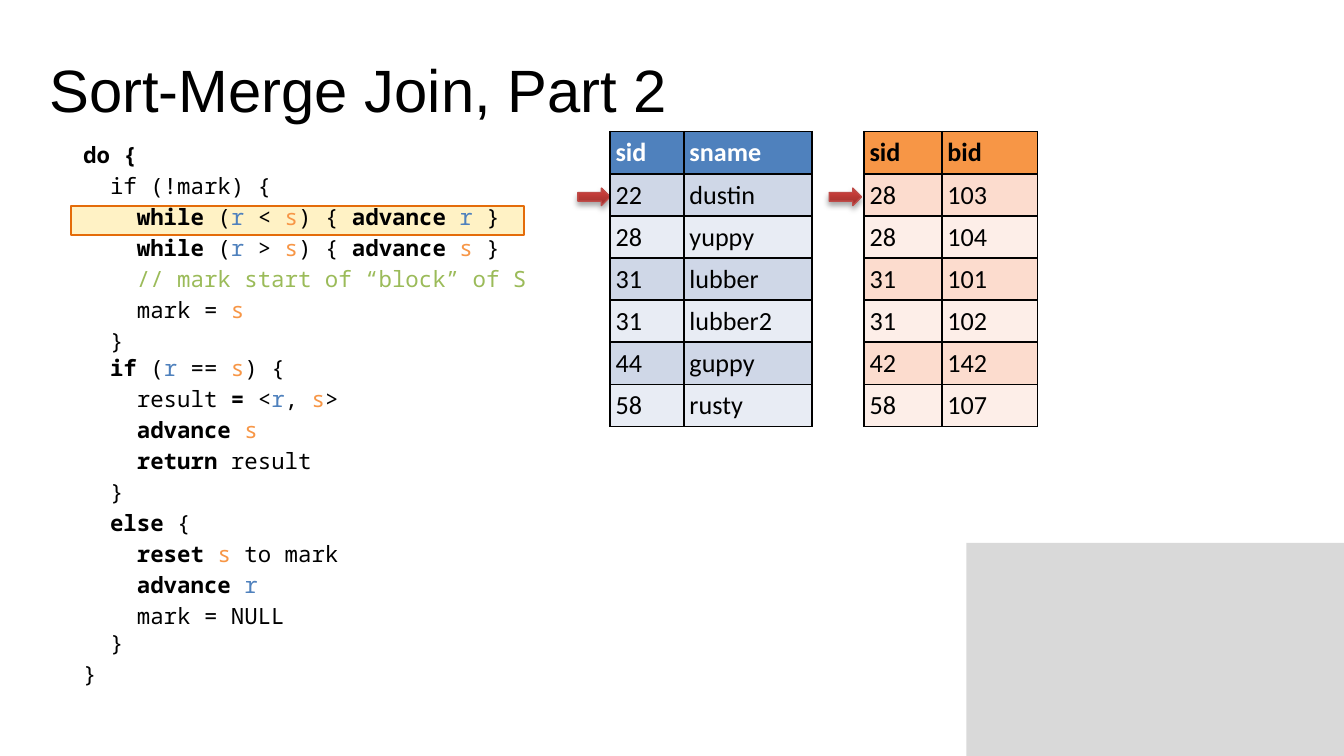
"""Build the slide that steps through a sort-merge join."""
from lxml import etree
from pptx import Presentation
from pptx import util as u
from pptx.dml.color import RGBColor
from pptx.enum import shapes, text
from pptx.oxml import ns

TITLE = "Sort-Merge Join, Part 2"

CODE = [
    (0, 0, "*do {"),
    (1, 0, "if (!mark) {"),
    (2, 0, "*while| (|r| < |s|) { |*advance |r| }"),
    (2, 0, "*while| (|r| > |s|) { |*advance |s| }"),
    (2, 0, "// mark start of “block” of S"),
    (2, 0, "mark = |s"),
    (1, 0, "}|\n|*if |(|r| == |s|) {"),
    (2, 0, "result|* =| <|r|, |s|>"),
    (2, 0, "*advance |s"),
    (2, 0, "*return |result"),
    (1, 0, "}"),
    (1, 0, "*else| {"),
    (2, 0, "*reset |s| to mark"),
    (2, 0, "*advance |r"),
    (1, 1, "mark = NULL|\n|}"),
    (0, 0, "}"),
]

TABLES = [
    dict(x=4.54, mark=4.3, cols=(0.55, 0.95), look="blue", rows=[
        ("sid", "sname"), ("22", "dustin"), ("28", "yuppy"), ("31", "lubber"),
        ("31", "lubber2"), ("44", "guppy"), ("58", "rusty")]),
    dict(x=6.43, mark=6.17, cols=(0.58, 0.71), look="gold", rows=[
        ("sid", "bid"), ("28", "103"), ("28", "104"), ("31", "101"),
        ("31", "102"), ("42", "142"), ("58", "107")]),
]

THEME = dict(
    head="Arial", body="Calibri", mono="Noto Sans Mono",
    big=32, cell=14, code=12,
    ink="000000", r="4F81BD", s="F79646", note="9BBB59",
    panel="D9D9D9", glow="FFF2C5", rim="E46C0A",
    dark="9A2F2C", red="CA3E3A", edge="BE4B48",
    blue=dict(ink="FFFFFF", head="4F81BD", bands=("CFD7E7", "E8ECF4")),
    gold=dict(ink="000000", head="F79646", bands=("FCDCCE", "FDEEE8")),
)
TOP, HIGH, PAD, STEP = 0.98, 2.16, 0.04, 0.2


def rgb(code):
    return RGBColor.from_string(code)


def write(para, words, font, size, color=THEME["ink"], bold=False):
    run = para.add_run()
    run.text = words
    run.font.name = font
    run.font.size = u.Pt(size)
    run.font.bold = bold
    run.font.color.rgb = rgb(color)


def box(slide, *area):
    frame = slide.shapes.add_textbox(*map(u.Inches, area)).text_frame
    frame.word_wrap = True
    frame.vertical_anchor = text.MSO_ANCHOR.TOP
    return frame


def block(slide, kind, area, fill=None, line=None, width=1):
    shape = slide.shapes.add_shape(kind, *map(u.Inches, area))
    shape.shadow.inherit = False
    if fill:
        shape.fill.solid()
        shape.fill.fore_color.rgb = rgb(fill)
    if line:
        shape.line.color.rgb = rgb(line)
        shape.line.width = u.Pt(width)
    else:
        shape.line.fill.background()
    return shape


def child(node, tag, **attrs):
    return etree.SubElement(node, ns.qn(tag), **attrs)


def arrow(slide, x):
    shape = block(slide, shapes.MSO_SHAPE.RIGHT_ARROW, (x, 1.4, 0.24, 0.13),
                  line=THEME["edge"], width=0.75)
    shape.fill.gradient()
    shape.fill.gradient_angle = 90
    tones = (THEME["dark"], 0), (THEME["red"], 0.8)
    for stop, (tone, place) in zip(shape.fill.gradient_stops, tones):
        stop.color.rgb = rgb(tone)
        stop.position = place
    glow = shape.element.spPr.find(ns.qn("a:effectLst"))
    cast = child(glow, "a:outerShdw", blurRad=str(u.Pt(3)),
                 dist=str(u.Pt(1.8)), dir="5400000", rotWithShape="0")
    shade = child(cast, "a:srgbClr", val=THEME["ink"])
    child(shade, "a:alpha", val="35000")


def border(cell):
    props = cell._tc.get_or_add_tcPr()
    for spot, side in enumerate(("a:lnL", "a:lnR", "a:lnT", "a:lnB")):
        line = etree.Element(ns.qn(side), w=str(u.Pt(1)))
        child(child(line, "a:solidFill"), "a:srgbClr", val=THEME["ink"])
        props.insert(spot, line)


def table(slide, x, cols, look, rows):
    look = THEME[look]
    grid = slide.shapes.add_table(
        len(rows), len(cols), u.Inches(x), u.Inches(TOP),
        u.Inches(sum(cols)), u.Inches(HIGH)).table
    for col, width in zip(grid.columns, cols):
        col.width = u.Inches(width)
    for i, row in enumerate(rows):
        grid.rows[i].height = u.Inches(HIGH / len(rows))
        for j, words in enumerate(row):
            cell = grid.cell(i, j)
            cell.margin_left = cell.margin_right = u.Inches(PAD)
            cell.margin_top = cell.margin_bottom = u.Inches(PAD)
            cell.fill.solid()
            cell.fill.fore_color.rgb = rgb(
                look["bands"][(i - 1) % 2] if i else look["head"])
            border(cell)
            write(cell.text_frame.paragraphs[0], words, THEME["body"],
                  THEME["cell"], color=THEME["ink"] if i else look["ink"],
                  bold=i == 0)


def listing(slide):
    frame = box(slide, 0.52, 1, 9.48, 2.86)
    for i, (level, first, line) in enumerate(CODE):
        para = frame.add_paragraph() if i else frame.paragraphs[0]
        para.line_spacing = 1.0
        para.space_before = u.Pt(2.2)
        props = para._p.get_or_add_pPr()
        props.set("marL", str(u.Inches(STEP * level)))
        props.set("indent", str(u.Inches(STEP * first)))
        for part in line.split("|"):
            if part == "\n":
                para.add_line_break()
                continue
            key = "note" if part.startswith("//") else part
            tone = THEME[key] if key in ("r", "s", "note") else THEME["ink"]
            write(para, part.removeprefix("*"), THEME["mono"], THEME["code"],
                  color=tone, bold=part.startswith("*"))


def main():
    deck = Presentation()
    deck.slide_width = u.Inches(10)
    deck.slide_height = u.Inches(10 * 9 / 16)
    slide = deck.slides.add_slide(deck.slide_layouts[6])
    rect = shapes.MSO_SHAPE.RECTANGLE
    block(slide, rect, (7.19, 4.04, 2.81, 1.59), fill=THEME["panel"])
    title = box(slide, 0.27, 0.34, 8.23, 1.25)
    write(title.paragraphs[0], TITLE, THEME["head"], THEME["big"])
    block(slide, rect, (0.53, 1.53, 3.37, 0.22), THEME["glow"], THEME["rim"])
    for part in TABLES:
        arrow(slide, part["mark"])
        table(slide, part["x"], part["cols"], part["look"], part["rows"])
    listing(slide)
    deck.save("out.pptx")


if __name__ == "__main__":
    main()
